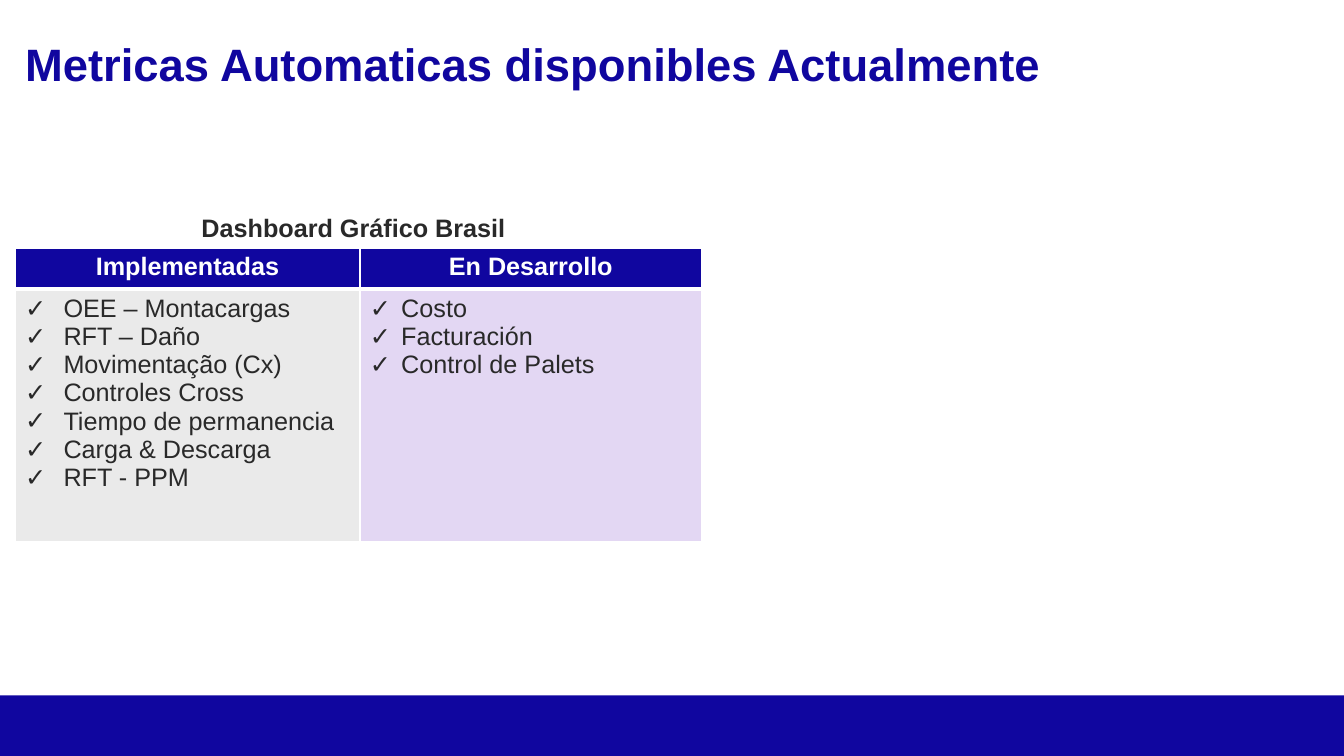
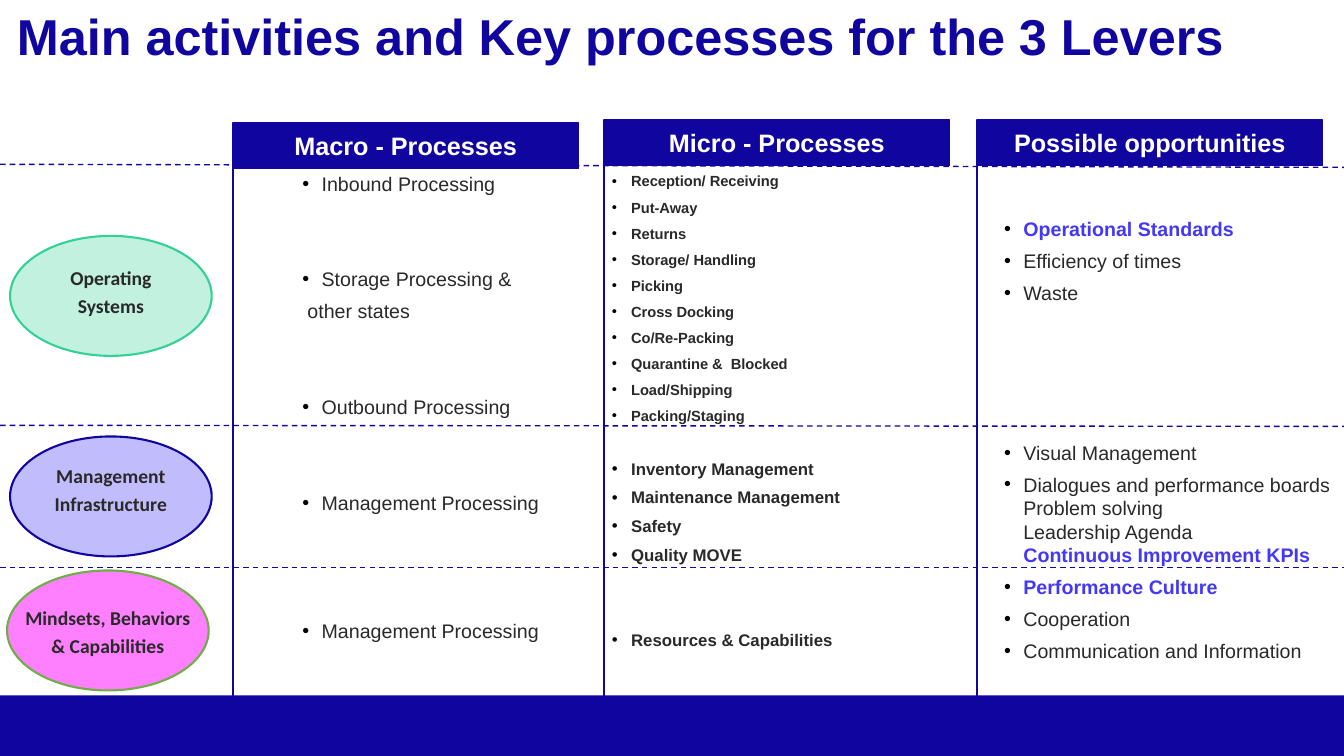
from lxml.etree import SubElement
from pptx import Presentation
from pptx.dml.color import RGBColor
from pptx.enum.dml import MSO_LINE
from pptx.enum.shapes import MSO_CONNECTOR, MSO_SHAPE
from pptx.enum.text import MSO_ANCHOR, PP_ALIGN
from pptx.oxml.ns import qn
from pptx.util import Inches, Pt

WIDTH, HEIGHT = 13.33, 7.5
BAND_TOP = 6.9
NAVY, INK, WHITE, BLACK, ACCENT = "10069F", "292929", "FFFFFF", "000000", "4438F7"

# Slide 1
METRICS_TITLE = "Metricas Automaticas disponibles Actualmente"
DASHBOARD_CAPTION = "Dashboard Gráfico Brasil"
METRICS = [  # heading, column width, bullet indent, fill, items
    ("Implementadas", 3.42, 0.38, "EAEAEA", [
        "OEE – Montacargas", "RFT – Daño", "Movimentação (Cx)", "Controles Cross",
        "Tiempo de permanencia", "Carga & Descarga", "RFT - PPM"]),
    ("En Desarrollo", 3.39, 0.31, "E3D7F3", [
        "Costo", "Facturación", "Control de Palets"]),
]
METRIC_ROWS = (0.41, 2.5)

# Slide 2
LEVERS_TITLE = "Main activities and Key processes for the 3 Levers"
LEVERS = [  # label lines, left, top, text shift, fill, outline
    (["Operating", "Systems"], 0.1, 2.34, -0.03, "C2F1E0", "33D196"),
    (["Management", "Infrastructure"], 0.1, 4.33, -0.05, "C1BDFC", NAVY),
    (["Mindsets, Behaviors", "& Capabilities"], 0.07, 5.66, 0.03, "FF80FF", "70AD47"),
]
LEVER_SIZE = (2, 1.19)
COLUMNS = [  # heading, left, top, left of the lists, bold lists, [(top, size, items)]
    ("Macro - Processes", 2.31, 1.22, 3, False, [
        (1.71, 14, ["Inbound Processing"]),
        (2.65, 14, ["Storage Processing &"]),
        (3.92, 14, ["Outbound Processing"]),
        (4.87, 14, ["Management Processing"]),
        (6.14, 14, ["Management Processing"])]),
    ("Micro - Processes", 5.99, 1.19, 6.07, True, [
        (1.71, 10.5, ["Reception/ Receiving", "Put-Away", "Returns", "Storage/ Handling",
                      "Picking", "Cross Docking", "Co/Re-Packing",
                      "Quarantine &  Blocked", "Load/Shipping", "Packing/Staging"]),
        (4.55, 12, ["Inventory Management", "Maintenance Management", "Safety",
                    "Quality MOVE"]),
        (6.25, 12, ["Resources & Capabilities"])]),
    ("Possible opportunities", 9.69, 1.19, 9.96, False, [
        (2.15, 14, ["Operational Standards", "Efficiency of times", "Waste"]),
        (4.37, 14, ["Visual Management",
                    "Dialogues and performance boards\nProblem solving\n"
                    "Leadership Agenda\nContinuous Improvement KPIs"]),
        (5.7, 14, ["Performance Culture", "Cooperation",
                   "Communication and Information"])]),
]
STORAGE_CONTINUED = ("other states", 3.05, 2.97)
HIGHLIGHTS = {"Operational Standards", "Continuous Improvement KPIs", "Performance Culture"}
HEADING_SIZE = (3.43, 0.45)
LIST_WIDTH = 3.37
ROW_LINES = [(1.63, 1.66), (4.22, 4.23), (5.63, 5.63)]  # y at the left and right edge


def rgb(value):
    return RGBColor.from_string(value)


def style(font, size, color, bold=False, name="Arial"):
    font.size, font.bold, font.name = Pt(size), bold, name
    font.color.rgb = rgb(color)


def bullet(paragraph, char, indent, color):
    props = paragraph._p.get_or_add_pPr()
    props.set("marL", str(Inches(indent)))
    props.set("indent", str(-Inches(indent)))
    SubElement(SubElement(props, qn("a:buClr")), qn("a:srgbClr"), val=color)
    SubElement(props, qn("a:buFont"), typeface="Arial")
    SubElement(props, qn("a:buChar"), char=char)


def paragraphs(frame, count):
    return [frame.paragraphs[0]] + [frame.add_paragraph() for _ in range(count - 1)]


def add_text_frame(slide, left, top, width, height, inset=True):
    frame = slide.shapes.add_textbox(*map(Inches, (left, top, width, height))).text_frame
    frame.word_wrap = True
    if not inset:
        frame.margin_left = frame.margin_right = frame.margin_top = frame.margin_bottom = 0
    return frame


def add_label(slide, text, box, size, color, bold=True, inset=True):
    paragraph = add_text_frame(slide, *box, inset).paragraphs[0]
    paragraph.text = text
    style(paragraph.font, size, color, bold)
    return paragraph


def add_block(slide, preset, box, fill, outline=None, weight=1):
    block = slide.shapes.add_shape(preset, *map(Inches, box))
    block.shadow.inherit = False
    block.fill.solid()
    block.fill.fore_color.rgb = rgb(fill)
    if outline:
        block.line.color.rgb = rgb(outline)
        block.line.width = Pt(weight)
    else:
        block.line.fill.background()
    return block


def add_rule(slide, x1, y1, x2, y2, dash=None):
    rule = slide.shapes.add_connector(MSO_CONNECTOR.STRAIGHT, *map(Inches, (x1, y1, x2, y2)))
    rule.line.color.rgb = rgb(NAVY)
    rule.line.width = Pt(1)
    rule.line.dash_style = dash
    SubElement(rule._element.spPr, qn("a:effectLst"))


def add_list(slide, left, top, size, items, bold):
    frame = add_text_frame(slide, left, top, LIST_WIDTH, len(items) * size * 0.025, False)
    for position, (paragraph, item) in enumerate(zip(paragraphs(frame, len(items)), items)):
        paragraph.space_before = Pt(6 if position else 0)
        bullet(paragraph, "•", 0.19, BLACK)
        for number, line in enumerate(item.split("\n")):
            if number:
                paragraph.add_line_break()
            run = paragraph.add_run()
            run.text = line
            marked = line in HIGHLIGHTS
            style(run.font, size, ACCENT if marked else INK, bold or marked)


def paint_cell(cell, fill, bottom):
    """Give a table cell white borders and a plain fill."""
    props = cell._tc.get_or_add_tcPr()
    for side, weight in (("lnL", 1), ("lnR", 1), ("lnT", 1), ("lnB", bottom)):
        border = SubElement(props, qn(f"a:{side}"), w=str(Pt(weight)))
        SubElement(SubElement(border, qn("a:solidFill")), qn("a:srgbClr"), val=WHITE)
    cell.fill.solid()
    cell.fill.fore_color.rgb = rgb(fill)


def add_base_slide(deck, title, left, top, size):
    """Add a blank slide with the shared footer band and title."""
    slide = deck.slides.add_slide(deck.slide_layouts[6])
    add_block(slide, MSO_SHAPE.RECTANGLE, (0, BAND_TOP, WIDTH, HEIGHT - BAND_TOP), NAVY)
    add_label(slide, title, (left, top, 13.11, 0.87), size, NAVY).line_spacing = 0.9
    return slide


def build_metrics(deck):
    slide = add_base_slide(deck, METRICS_TITLE, 0.15, 0.37, 32.4)
    add_label(slide, DASHBOARD_CAPTION, (1.9, 2.06, 3.3, 0.41), 18, INK)
    width = sum(column[1] for column in METRICS)
    table = slide.shapes.add_table(
        2, len(METRICS), *map(Inches, (0.15, 2.46, width, sum(METRIC_ROWS)))).table
    table.horz_banding = False
    for row, height in zip(table.rows, METRIC_ROWS):
        row.height = Inches(height)
    for index, (heading, width, indent, fill, items) in enumerate(METRICS):
        table.columns[index].width = Inches(width)
        head, body = table.cell(0, index), table.cell(1, index)
        paint_cell(head, NAVY, 3)
        paint_cell(body, fill, 1)
        title = head.text_frame.paragraphs[0]
        title.text, title.alignment = heading, PP_ALIGN.CENTER
        style(title.font, 18, WHITE, True)
        for paragraph, item in zip(paragraphs(body.text_frame, len(items)), items):
            paragraph.text = item
            style(paragraph.font, 18, INK)
            bullet(paragraph, "✓", indent, INK)


def add_lever(slide, lines, left, top, shift, fill, outline):
    oval = add_block(slide, MSO_SHAPE.OVAL, (left, top, *LEVER_SIZE), fill, outline, 1.5)
    frame = oval.text_frame
    frame.word_wrap = False
    frame.vertical_anchor = MSO_ANCHOR.MIDDLE
    frame.margin_top, frame.margin_bottom = Inches(0.1 + shift), Inches(0.1 - shift)
    for paragraph, line in zip(paragraphs(frame, len(lines)), lines):
        paragraph.text, paragraph.alignment = line, PP_ALIGN.CENTER
        paragraph.line_spacing, paragraph.space_after = 0.9, Pt(5)
        style(paragraph.font, 14, INK, True, "Calibri")


def build_levers(deck):
    slide = add_base_slide(deck, LEVERS_TITLE, 0.07, 0.07, 36)
    for lever in LEVERS:
        add_lever(slide, *lever)
    for left_y, right_y in ROW_LINES:
        add_rule(slide, 0, left_y, WIDTH, right_y, MSO_LINE.DASH)
    for heading, left, top, list_left, bold, groups in COLUMNS:
        add_rule(slide, left, top + HEADING_SIZE[1], left, BAND_TOP)
        block = add_block(slide, MSO_SHAPE.RECTANGLE, (left, top, *HEADING_SIZE), NAVY, NAVY)
        block.text_frame.vertical_anchor = MSO_ANCHOR.MIDDLE
        title = block.text_frame.paragraphs[0]
        title.text, title.alignment = heading, PP_ALIGN.CENTER
        style(title.font, 18, WHITE, True)
        for list_top, size, items in groups:
            add_list(slide, list_left, list_top, size, items, bold)
    text, left, top = STORAGE_CONTINUED
    add_label(slide, text, (left, top, 2, 0.25), 14, INK, False, False)


def main():
    deck = Presentation()
    deck.slide_width, deck.slide_height = Inches(WIDTH), Inches(HEIGHT)
    build_metrics(deck)
    build_levers(deck)
    deck.save("out.pptx")


if __name__ == "__main__":
    main()
